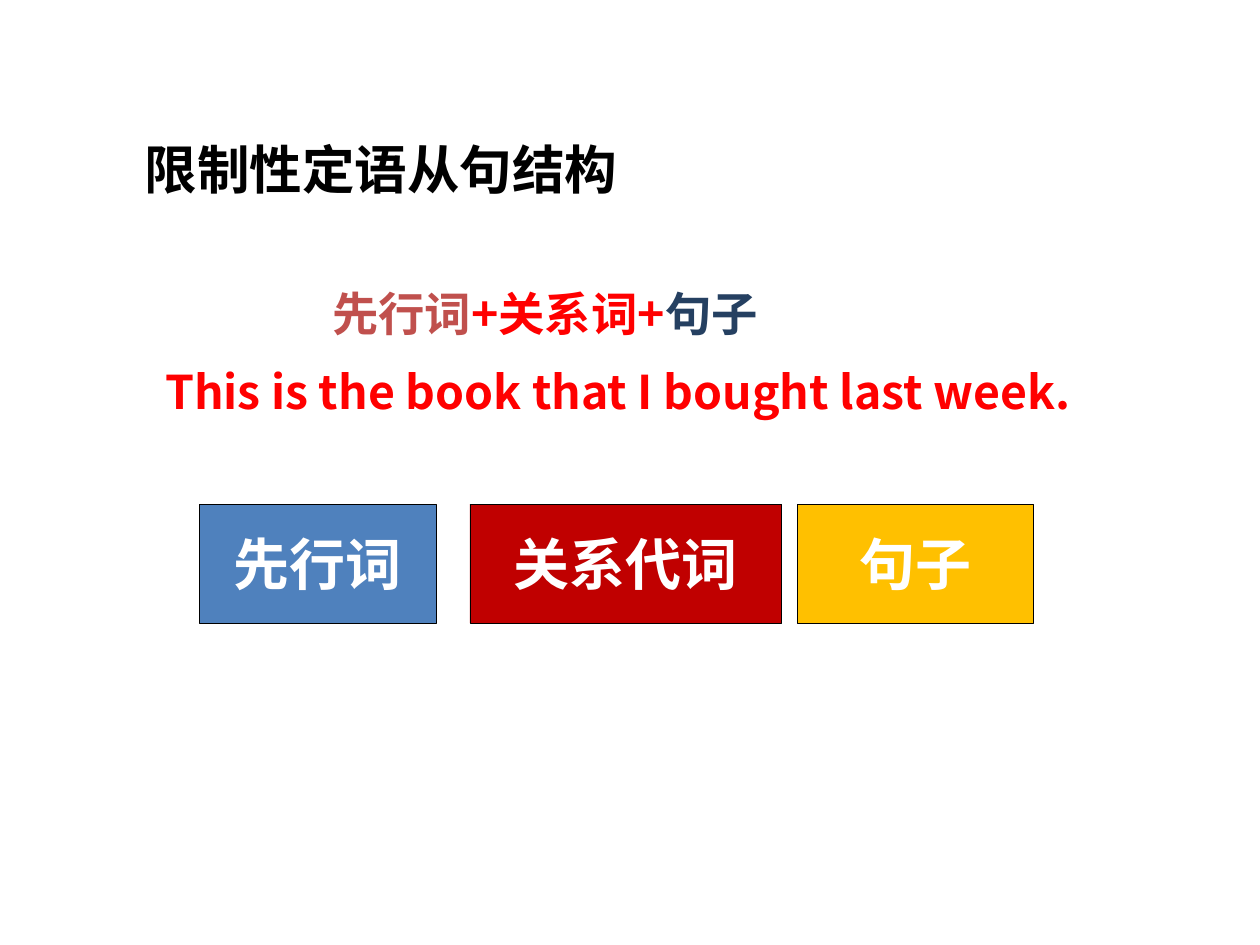
from dataclasses import dataclass

from lxml import etree
from pptx import Presentation
from pptx.dml.color import RGBColor
from pptx.enum.shapes import MSO_SHAPE
from pptx.enum.text import MSO_ANCHOR, PP_ALIGN
from pptx.oxml.ns import qn
from pptx.util import Inches, Pt

RECTANGLE = MSO_SHAPE.RECTANGLE
TOP, MIDDLE = MSO_ANCHOR.TOP, MSO_ANCHOR.MIDDLE
LEFT, CENTER = PP_ALIGN.LEFT, PP_ALIGN.CENTER


@dataclass(frozen=True)
class Theme:
    font: str = "Noto Sans CJK SC"
    black: str = "000000"
    white: str = "FFFFFF"
    red: str = "FF0000"
    brick: str = "C0504D"
    navy: str = "254061"
    blue: str = "4F81BD"
    crimson: str = "C00000"
    amber: str = "FFC000"
    title_size: int = 60
    body_size: int = 53
    label_size: int = 64


THEME = Theme()


def add_run(paragraph, text, size, color):
    run = paragraph.add_run()
    run.text = text
    run.font.name = THEME.font
    run.font.size = Pt(size)
    run.font.bold = True
    run.font.color.rgb = RGBColor.from_string(color)
    east_asian = etree.SubElement(run.font._element, qn("a:ea"))
    east_asian.set("typeface", THEME.font)


def set_insets(frame, horizontal, vertical):
    frame.margin_left = frame.margin_right = Inches(horizontal)
    frame.margin_top = frame.margin_bottom = Inches(vertical)


presentation = Presentation()
presentation.slide_width = Inches(20)
presentation.slide_height = Inches(15)
slide = presentation.slides.add_slide(presentation.slide_layouts[5])

# Title
title = slide.shapes.title
title.left, title.top = Inches(2.2), Inches(2.13)
title.width, title.height = Inches(10.5), Inches(2.1)
title_frame = title.text_frame
title_frame.vertical_anchor = TOP
set_insets(title_frame, 0.1, 0.05)
title_frame.paragraphs[0].alignment = LEFT
add_run(title_frame.paragraphs[0], "限制性定语从句结构", THEME.title_size, THEME.black)

# Pattern and example sentence
body = slide.shapes.add_textbox(Inches(2.42), Inches(4.25), Inches(16.22), Inches(7.89))
body_frame = body.text_frame
body_frame.word_wrap = True
set_insets(body_frame, 0.2, 0.1)

pattern = body_frame.paragraphs[0]
pattern._p.get_or_add_pPr().set("marL", str(Inches(2.65)))
pattern.line_spacing = 1.2
for text, color in [
    ("先行词", THEME.brick),
    ("+关系词+", THEME.red),
    ("句子", THEME.navy),
]:
    add_run(pattern, text, THEME.body_size, color)

example = body_frame.add_paragraph()
example.line_spacing = 1.2
example.space_before = Pt(13.2)
add_run(example, "This is the book that I bought last week.", THEME.body_size, THEME.red)

# Clause parts
for text, left, width, color in [
    ("先行词", 3.17, 3.75, THEME.blue),
    ("关系代词", 7.46, 4.95, THEME.crimson),
    ("句子", 12.66, 3.75, THEME.amber),
]:
    part = slide.shapes.add_shape(RECTANGLE, Inches(left), Inches(8), Inches(width), Inches(1.89))
    part.shadow.inherit = False
    part.fill.solid()
    part.fill.fore_color.rgb = RGBColor.from_string(color)
    part.line.color.rgb = RGBColor.from_string(THEME.black)
    part.line.width = Pt(0.75)
    part_frame = part.text_frame
    part_frame.word_wrap = False
    part_frame.vertical_anchor = MIDDLE
    set_insets(part_frame, 0.1, 0.05)
    part_frame.paragraphs[0].alignment = CENTER
    add_run(part_frame.paragraphs[0], text, THEME.label_size, THEME.white)

presentation.save("out.pptx")
